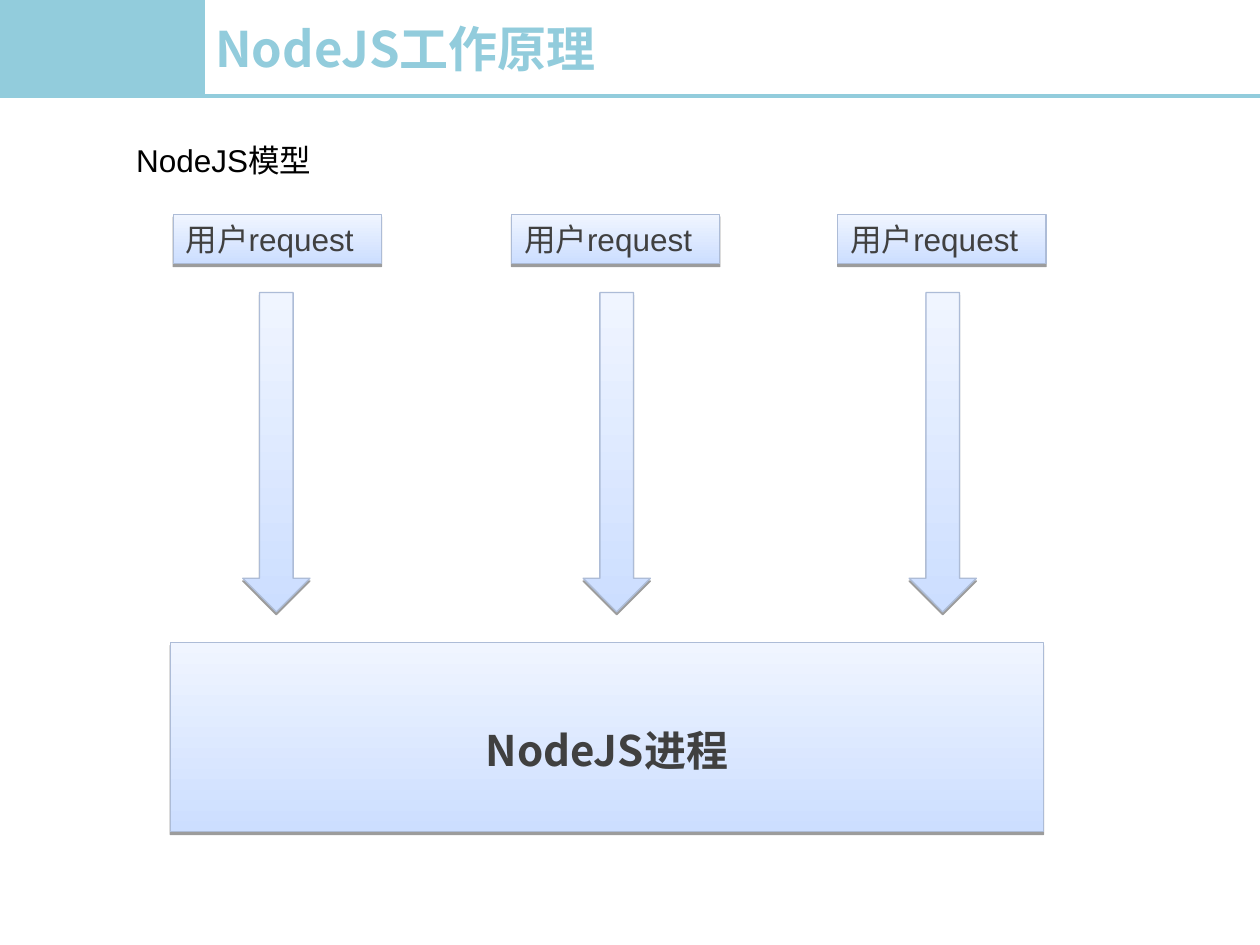
from lxml.etree import SubElement
from pptx import Presentation
from pptx.dml.color import RGBColor
from pptx.enum.shapes import MSO_CONNECTOR as Connector, MSO_SHAPE as Shape
from pptx.enum.text import MSO_ANCHOR as Anchor, PP_ALIGN as Align
from pptx.oxml.ns import qn
from pptx.util import Pt

color = RGBColor.from_string
CJK_FONT = "Noto Sans CJK SC"
TEAL, DARK = "92CCDC", "404040"


def write(box, text, size=18, font="Arial", ink=DARK, bold=False,
          align=Align.LEFT, anchor=Anchor.TOP, top=3.6):
    frame = box.text_frame
    frame.word_wrap = True
    frame.vertical_anchor = anchor
    frame.margin_left = frame.margin_right = Pt(7.2)
    frame.margin_top, frame.margin_bottom = Pt(top), Pt(3.6)
    para = frame.paragraphs[0]
    para.alignment = align
    span = para.add_run()
    span.text = text
    span.font.size, span.font.name, span.font.bold = Pt(size), font, bold
    span.font.color.rgb = color(ink)
    SubElement(span.font._element, qn("a:ea"), typeface=CJK_FONT)


def add_gradient_shape(kind, left, top, width, height):
    shape = page.shapes.add_shape(kind, Pt(left), Pt(top), Pt(width), Pt(height))
    shape.fill.gradient()
    shape.fill.gradient_angle = 90
    for stop, shade in zip(shape.fill.gradient_stops, ("CCDEFF", "F0F5FF")):
        stop.color.rgb = color(shade)
    shape.line.color.rgb = color("ADBCD7")
    shape.line.width = Pt(0.75)
    # Hard shadow straight below
    shape.shadow.inherit = False
    effects = shape._element.spPr.find(qn("a:effectLst"))
    shadow = SubElement(effects, qn("a:outerShdw"), blurRad="0", dist=str(Pt(1.6)),
                        dir="5400000", rotWithShape="0")
    black = SubElement(shadow, qn("a:srgbClr"), val="000000")
    SubElement(black, qn("a:alpha"), val="38000")
    return shape


deck = Presentation()
deck.slide_width, deck.slide_height = Pt(720), Pt(540)
page = deck.slides.add_slide(deck.slide_layouts[6])

# Header block and rule
block = page.shapes.add_shape(Shape.RECTANGLE, 0, 0, Pt(116), Pt(54.7))
block.shadow.inherit = False
block.fill.solid()
block.fill.fore_color.rgb = block.line.color.rgb = color(TEAL)
block.line.width = Pt(2)
rule = page.shapes.add_connector(Connector.STRAIGHT, 0, Pt(54.7), Pt(720), Pt(54.7))
rule.line.color.rgb = color(TEAL)
rule.line.width = Pt(2.25)
SubElement(rule._element.spPr, qn("a:effectLst"))

# Title and subtitle
title = page.shapes.add_textbox(Pt(116), 0, Pt(604), Pt(54.7))
write(title, "NodeJS工作原理", size=28, font=CJK_FONT, ink=TEAL, bold=True,
      anchor=Anchor.MIDDLE)
subtitle = page.shapes.add_textbox(Pt(70.7), Pt(77), Pt(193), Pt(29))
write(subtitle, "NodeJS模型", ink="000000")

# Process box
process = add_gradient_shape(Shape.RECTANGLE, 97.3, 367.3, 499, 108)
write(process, "NodeJS进程", size=24, font=CJK_FONT, bold=True,
      align=Align.CENTER, anchor=Anchor.MIDDLE, top=18)

# User requests, each with an arrow down to the process
for request_left, arrow_left in ((99, 138.7), (292.4, 333.2), (478.8, 519.5)):
    request = add_gradient_shape(Shape.RECTANGLE, request_left, 122.4, 119, 28.4)
    write(request, "用户request")
    add_gradient_shape(Shape.DOWN_ARROW, arrow_left, 167.2, 38.4, 182.5)

deck.save("out.pptx")
